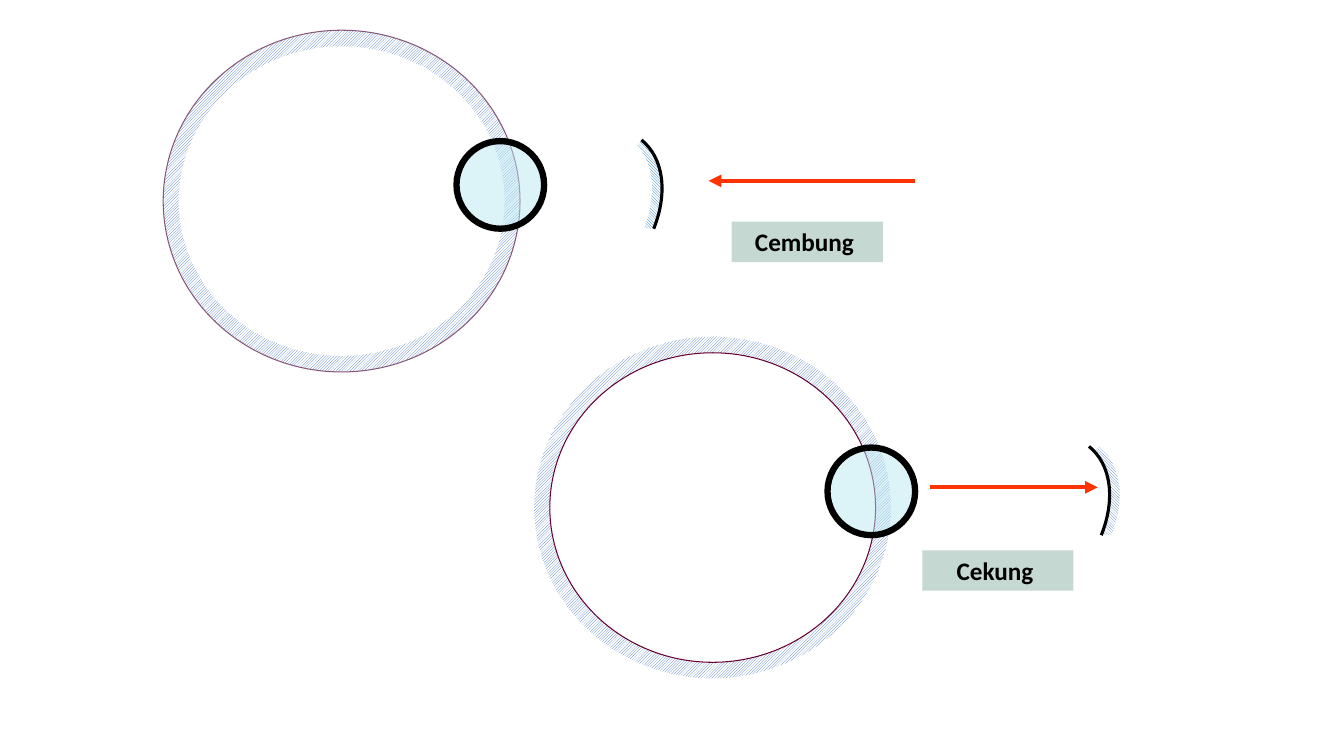
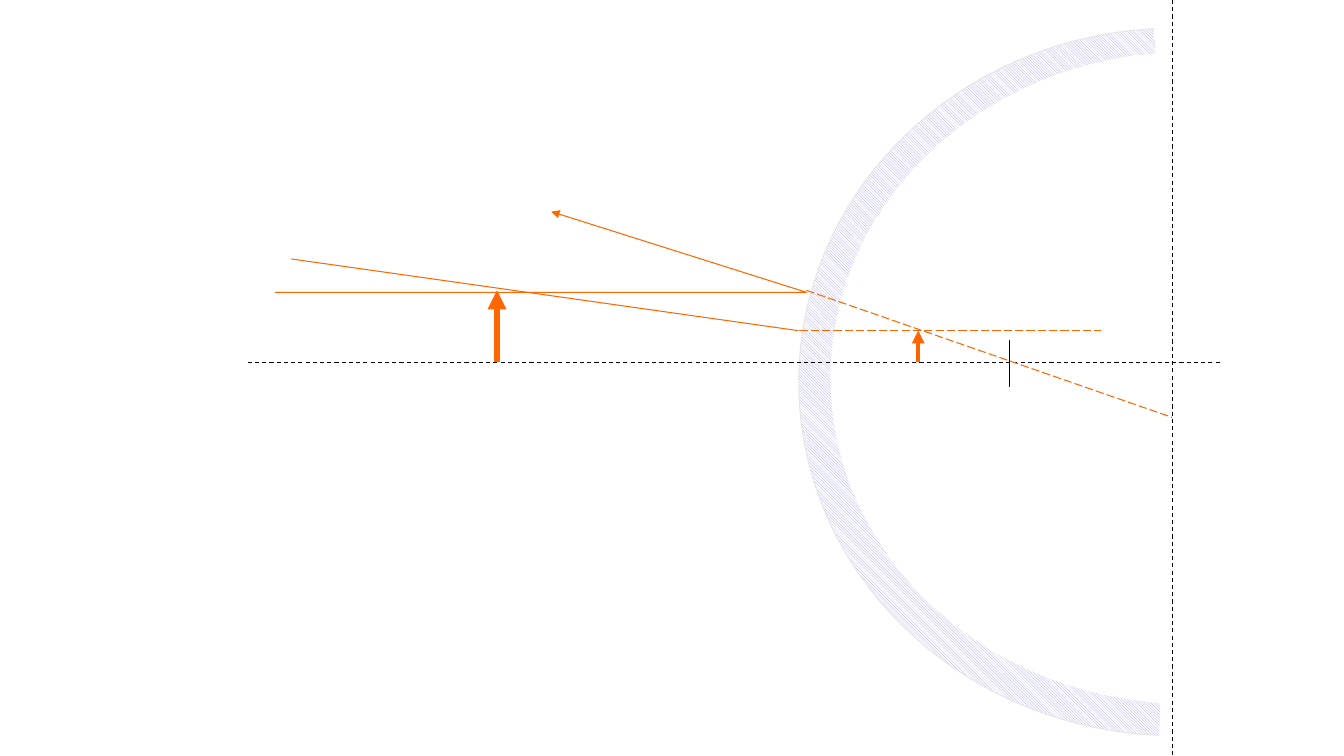
from copy import deepcopy
from dataclasses import dataclass
from typing import Optional

from pptx import Presentation
from pptx import util as u
from pptx.dml.color import RGBColor
from pptx.enum import dml, shapes, text
from pptx.oxml.ns import qn
from pptx.oxml.xmlchemy import OxmlElement

BLACK = RGBColor(0x00, 0x00, 0x00)
WHITE = RGBColor(0xFF, 0xFF, 0xFF)
HATCH_BLUE = RGBColor(0x44, 0x72, 0xC4)
MIRROR_BLUE = RGBColor(0x00, 0x70, 0xC0)
HATCH_VIOLET = RGBColor(0x99, 0x99, 0xFF)
LENS_BLUE = RGBColor(0xBC, 0xE8, 0xF2)
PLUM = RGBColor(0x66, 0x00, 0x33)
LIGHT_PLUM = RGBColor(0x88, 0x56, 0x77)
RED = RGBColor(0xFF, 0x33, 0x00)
ORANGE = RGBColor(0xFF, 0x66, 0x00)
LABEL_GREEN = RGBColor(0xC6, 0xD8, 0xD2)
PALE_GREY = RGBColor(0xE7, 0xE6, 0xE6)

FONT = "Calibri"
UPWARD = dml.MSO_PATTERN.DARK_UPWARD_DIAGONAL
DOWNWARD = dml.MSO_PATTERN.DARK_DOWNWARD_DIAGONAL
DASH = dml.MSO_LINE.DASH
LONG_DASH = dml.MSO_LINE.LONG_DASH
Point = tuple[float, float]


@dataclass
class Eye:
    """Eyeball, lens and mirror; every position but the origin is relative to it."""
    origin: Point
    outer_line: Optional[RGBColor]
    inner_line: Optional[RGBColor]
    mirror_x: float
    mirror_color: RGBColor
    hatch_line: Optional[RGBColor]
    cover_line: Optional[RGBColor]
    arrow_start: float
    arrow_end: float
    label: str
    label_at: Point


@dataclass
class Sector:
    """Curve controls, then the tip, before the turn by rotation degrees."""
    controls: list[Point]
    rotation: float


@dataclass
class Ray:
    start: Point
    end: Point
    color: RGBColor = ORANGE
    width: float = 0.75
    dash: Optional[dml.MSO_LINE] = None
    arrow: bool = False


EYES = [
    Eye((381.6, 240.5), None, PLUM, 375.1, HATCH_BLUE, None, BLACK,
        283, 402.5, "Cekung ", (277.2, 152.6)),
    Eye((116.6, 21.6), LIGHT_PLUM, None, 313.2, MIRROR_BLUE, BLACK, None,
        537.2, 389.6, "Cembung ", (406.1, 136.8)),
]
EYE_SIZE = (254.9, 244.1)
SCLERA = (11.1, 11.5)
LENS_AT = (209.5, 79.2)
LENS_SIZE = 62.6
ARROW_Y = 107.6
LABEL_SIZE = (108, 28.8)
MIRROR_Y = 84.9
MIRROR_DEPTH = 7.2
MIRROR = Sector([(0, 0), (20.4, 0), (38.5, 17.1), (46.8, 43.7), (0, 73.4)], 39.1)

AXIS_Y = 258.7
BACK_X = 837.2
OUTER_AT = (452.9, 138.2)
OUTER_SECTOR = Sector([(0, 257.4), (6.1, 113.4), (117, 0), (252.4, 0), (386.3, 0),
                       (497.2, 111.2), (504.7, 253.8), (252.4, 269.3)], 270)
INNER_AT = (488.2, 142.6)
INNER_SECTOR = Sector([(0, 244.1), (5.8, 107.3), (108, 0), (232.6, 0), (356.4, 0),
                       (457.9, 105.8), (465.1, 240.5), (232.6, 254.9)], 270)
REFLECTED_RAY = [(196.6, 208.8), (576, 208.8), (393.8, 151.2)]
INCOMING_RAY = [(208.1, 185), (570.2, 236.2)]
RAYS = [
    Ray((871.2, AXIS_Y), (176.4, AXIS_Y), BLACK, dash=DASH),
    Ray((BACK_X, 0), (BACK_X, 540), BLACK, dash=DASH),
    Ray((721.4, 242.6), (721.4, 276.5), BLACK),
    Ray((355, AXIS_Y), (355, 207.4), width=4.5, arrow=True),
    Ray((576, 207.4), (BACK_X, 298.1), dash=LONG_DASH),
    Ray((571, 236.2), (786.2, 236.2), dash=LONG_DASH),
    Ray((655.9, AXIS_Y), (655.9, 236.2), width=3, arrow=True),
]


def set_line(shape, color: Optional[RGBColor], width: float = 0.75) -> None:
    if color is None:
        shape.line.fill.background()
    else:
        shape.line.color.rgb = color
        shape.line.width = u.Pt(width)


def set_solid(shape, color: RGBColor) -> None:
    shape.fill.solid()
    shape.fill.fore_color.rgb = color


def set_hatch(shape, pattern: dml.MSO_PATTERN, color: RGBColor) -> None:
    shape.fill.patterned()
    shape.fill.pattern = pattern
    shape.fill.fore_color.rgb = color
    shape.fill.back_color.rgb = WHITE


def add_arrowhead(shape) -> None:
    tail = OxmlElement("a:tailEnd")
    tail.set("type", "triangle")
    shape.element.spPr.find(qn("a:ln")).append(tail)


def add_preset(group, kind: shapes.MSO_SHAPE, at: Point, size: Point):
    shape = group.shapes.add_shape(kind, *(u.Pt(value) for value in (*at, *size)))
    shape.shadow.inherit = False
    return shape


def add_outline(group, points: list[Point], close: bool):
    corners = [(u.Pt(x), u.Pt(y)) for x, y in points]
    builder = group.shapes.build_freeform(*corners[0], scale=1.0)
    builder.add_line_segments(corners[1:], close=close)
    shape = builder.convert_to_shape()
    shape.shadow.inherit = False
    return shape


def add_open_line(group, points: list[Point]):
    shape = add_outline(group, points, close=False)
    shape.fill.background()
    set_line(shape, ORANGE)
    return shape


def add_sector(group, sector: Sector, at: Point):
    """Sector whose curve alone takes the line."""
    points = [(at[0] + x, at[1] + y) for x, y in sector.controls]
    shape = add_outline(group, points, close=True)
    shape.rotation = sector.rotation
    filled = next(shape.element.spPr.iter(qn("a:path")))
    segments = filled.findall(qn("a:lnTo"))
    tip = segments[len(sector.controls) - 2]
    controls = segments[:len(sector.controls) - 2]
    for first in range(0, len(controls), 3):
        curve = OxmlElement("a:cubicBezTo")
        for segment in controls[first:first + 3]:
            curve.append(segment[0])
            filled.remove(segment)
        tip.addprevious(curve)

    arc = deepcopy(filled)
    for extra in arc.findall(qn("a:lnTo")) + arc.findall(qn("a:close")):
        arc.remove(extra)
    arc.set("fill", "none")
    filled.set("stroke", "0")
    filled.addprevious(arc)
    return shape


def add_ray(group, ray: Ray) -> None:
    ends = (u.Pt(value) for value in (*ray.start, *ray.end))
    connector = group.shapes.add_connector(shapes.MSO_CONNECTOR.STRAIGHT, *ends)
    set_line(connector, ray.color, ray.width)
    if ray.dash is not None:
        connector.line.dash_style = ray.dash
    if ray.arrow:
        add_arrowhead(connector)
    connector.element.spPr.append(OxmlElement("a:effectLst"))


def add_lens(group, at: Point) -> None:
    lens = add_preset(group, shapes.MSO_SHAPE.OVAL, at, (LENS_SIZE, LENS_SIZE))
    set_solid(lens, LENS_BLUE)
    set_line(lens, BLACK, 4.5)
    alpha = OxmlElement("a:alpha")
    alpha.set("val", "51000")
    lens.element.spPr.find(qn("a:solidFill")).find(qn("a:srgbClr")).append(alpha)


def add_label(group, wording: str, at: Point) -> None:
    label = add_preset(group, shapes.MSO_SHAPE.RECTANGLE, at, LABEL_SIZE)
    set_solid(label, LABEL_GREEN)
    set_line(label, None)
    frame = label.text_frame
    frame.word_wrap = True
    frame.vertical_anchor = text.MSO_ANCHOR.TOP
    paragraph = frame.paragraphs[0]
    paragraph.text = wording
    paragraph.alignment = text.PP_ALIGN.CENTER
    paragraph.font.name = FONT
    paragraph.font.size = u.Pt(18)
    paragraph.font.bold = True
    paragraph.font.color.rgb = BLACK


def add_eye(slide, eye: Eye) -> None:
    group = slide.shapes.add_group_shape()

    def place(x: float, y: float) -> Point:
        return eye.origin[0] + x, eye.origin[1] + y

    sclera = add_preset(group, shapes.MSO_SHAPE.OVAL, eye.origin, EYE_SIZE)
    set_hatch(sclera, UPWARD, HATCH_BLUE)
    set_line(sclera, eye.outer_line)
    inner_size = (EYE_SIZE[0] - 2 * SCLERA[0], EYE_SIZE[1] - 2 * SCLERA[1])
    inside = add_preset(group, shapes.MSO_SHAPE.OVAL, place(*SCLERA), inner_size)
    set_solid(inside, WHITE)
    set_line(inside, eye.inner_line)
    add_lens(group, place(*LENS_AT))

    mirror = add_sector(group, MIRROR, place(eye.mirror_x, MIRROR_Y))
    set_hatch(mirror, DOWNWARD, eye.mirror_color)
    set_line(mirror, eye.hatch_line, 2.25)
    cover = add_sector(group, MIRROR, place(eye.mirror_x - MIRROR_DEPTH, MIRROR_Y))
    set_solid(cover, WHITE)
    set_line(cover, eye.cover_line, 2.25)

    add_ray(group, Ray(place(eye.arrow_start, ARROW_Y), place(eye.arrow_end, ARROW_Y),
                       RED, 3, arrow=True))
    add_label(group, eye.label, place(*eye.label_at))


def add_ray_diagram(slide) -> None:
    group = slide.shapes.add_group_shape()
    mirror = add_sector(group, OUTER_SECTOR, OUTER_AT)
    set_hatch(mirror, DOWNWARD, HATCH_VIOLET)
    set_line(mirror, PALE_GREY)
    cover = add_sector(group, INNER_SECTOR, INNER_AT)
    set_solid(cover, WHITE)
    set_line(cover, None)
    for ray in RAYS:
        add_ray(group, ray)
    add_arrowhead(add_open_line(group, REFLECTED_RAY))
    add_open_line(group, INCOMING_RAY)


def main() -> None:
    presentation = Presentation()
    presentation.slide_width = u.Pt(960)
    presentation.slide_height = u.Pt(540)
    blank = presentation.slide_layouts[6]

    eye_slide = presentation.slides.add_slide(blank)
    for eye in EYES:
        add_eye(eye_slide, eye)
    add_ray_diagram(presentation.slides.add_slide(blank))

    presentation.save("out.pptx")


if __name__ == "__main__":
    main()
